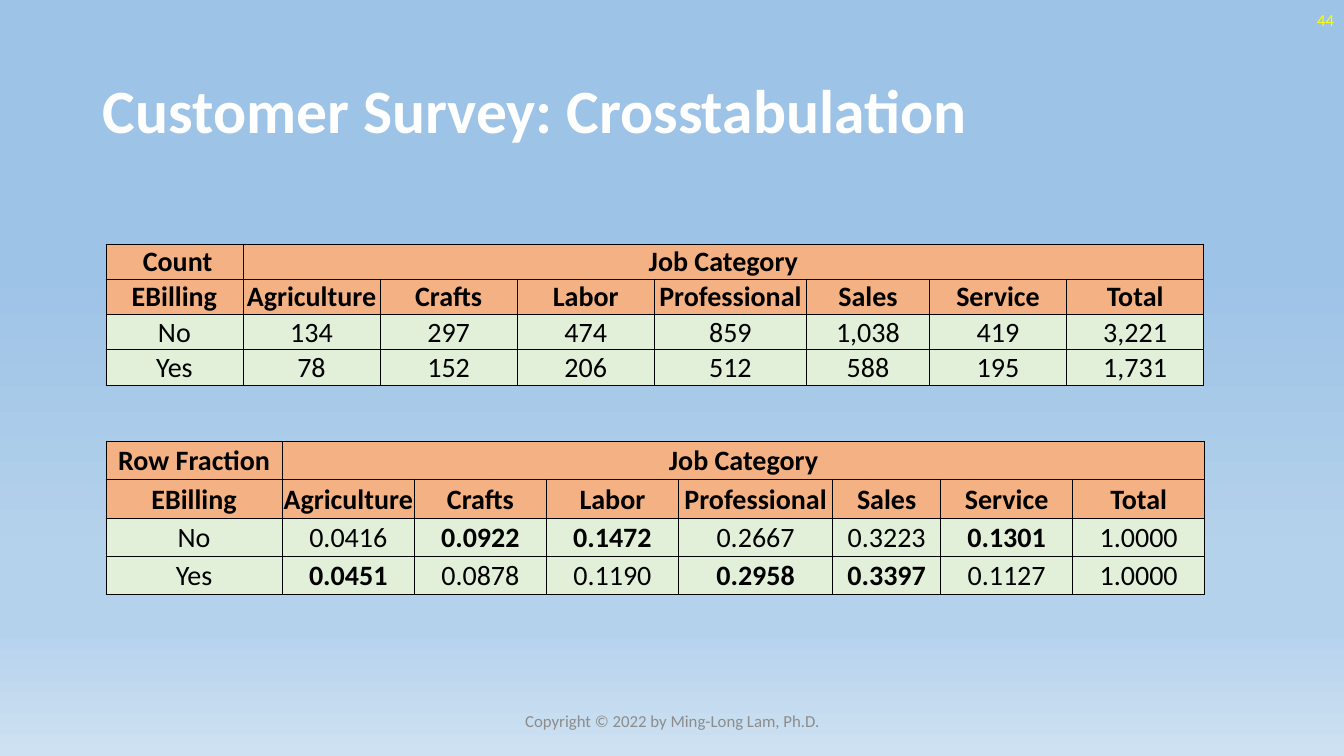
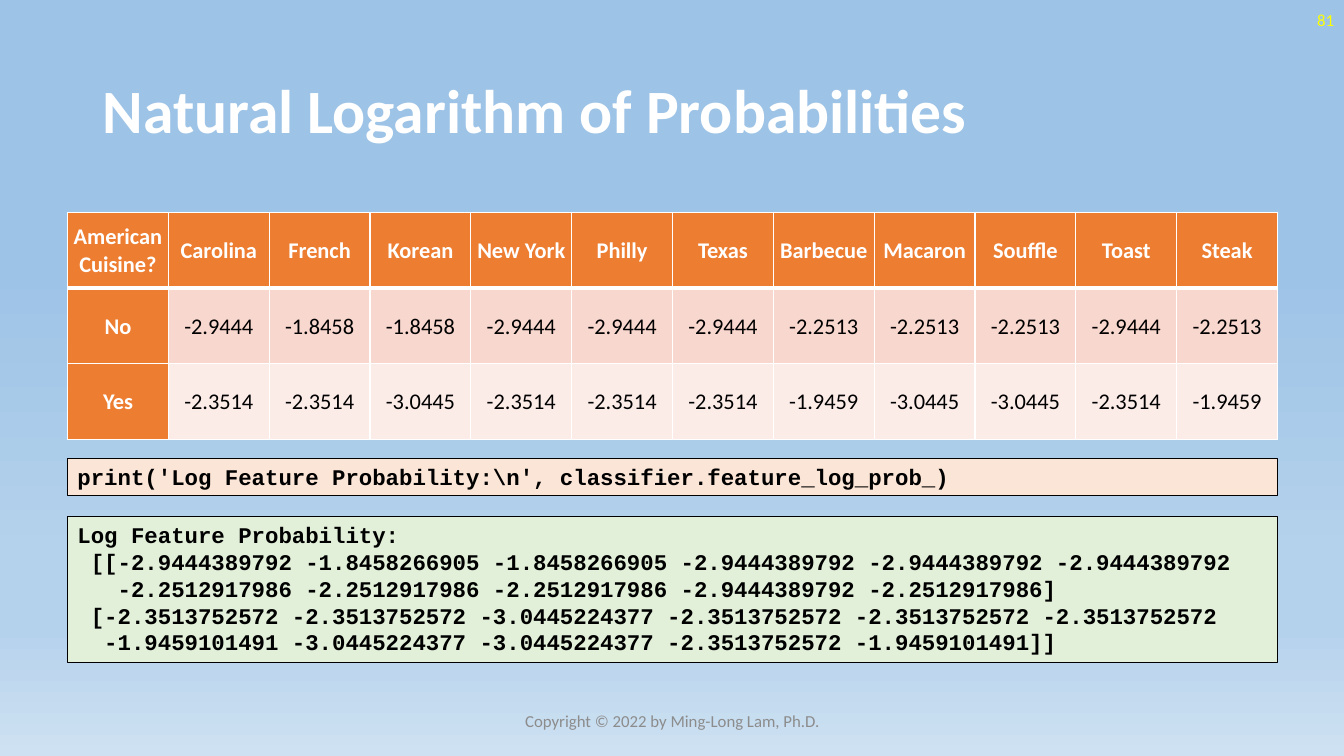
from pptx import Presentation
from pptx.dml.color import RGBColor
from pptx.enum.shapes import MSO_SHAPE
from pptx.enum.text import MSO_ANCHOR, MSO_AUTO_SIZE, PP_ALIGN
from pptx.oxml.ns import qn
from pptx.util import Inches, Pt
from lxml.etree import SubElement

BLACK = RGBColor(0x00, 0x00, 0x00)
WHITE = RGBColor(0xFF, 0xFF, 0xFF)
YELLOW = RGBColor(0xFF, 0xFF, 0x00)
GRAY = RGBColor(0x8C, 0x8C, 0x8C)
ORANGE = RGBColor(0xED, 0x7D, 0x31)
APRICOT = RGBColor(0xF4, 0xB1, 0x83)
CREAM = RGBColor(0xFB, 0xE5, 0xD6)
GREEN = RGBColor(0xE2, 0xF0, 0xD9)
BANDS = [RGBColor(0xF8, 0xD7, 0xCE), RGBColor(0xFC, 0xEC, 0xE8)]
SKY = [(35, RGBColor(0x9D, 0xC3, 0xE6)), (74, RGBColor(0xB5, 0xD2, 0xEC)),
       (83, RGBColor(0xB5, 0xD2, 0xEC)), (100, RGBColor(0xCE, 0xE1, 0xF2))]
FONT, MONO = "Calibri", "Courier New"

COPYRIGHT = "Copyright © 2022 by Ming-Long Lam, Ph.D."
JOBS = ["EBilling", "Agriculture", "Crafts", "Labor", "Professional", "Sales", "Service", "Total"]
COUNTS = [
    [" Count", "Job Category"],
    JOBS,
    ["No", "134", "297", "474", "859", "1,038", "419", "3,221"],
    ["Yes", "78", "152", "206", "512", "588", "195", "1,731"],
]
FRACTIONS = [
    ["Row Fraction", "Job Category"],
    JOBS,
    ["No", "0.0416", "0.0922", "0.1472", "0.2667", "0.3223", "0.1301", "1.0000"],
    ["Yes", "0.0451", "0.0878", "0.1190", "0.2958", "0.3397", "0.1127", "1.0000"],
]
COUNT_WIDTHS = [1.36] * 4 + [1.51, 1.22, 1.36, 1.36]
FRACTION_WIDTHS = [1.75, 1.31, 1.31, 1.31, 1.53, 1.07, 1.31, 1.31]
LOGS = [
    ["American Cuisine?", "Carolina", "French", "Korean", "New York", "Philly", "Texas",
     "Barbecue", "Macaron", "Souffle", "Toast", "Steak"],
    ["No", "-2.9444", "-1.8458", "-1.8458", "-2.9444", "-2.9444", "-2.9444",
     "-2.2513", "-2.2513", "-2.2513", "-2.9444", "-2.2513"],
    ["Yes", "-2.3514", "-2.3514", "-3.0445", "-2.3514", "-2.3514", "-2.3514",
     "-1.9459", "-3.0445", "-3.0445", "-2.3514", "-1.9459"],
]
CODE = [r"print('Log Feature Probability:\n', classifier.feature_log_prob_)"]
OUTPUT = [
    "Log Feature Probability:",
    " [[-2.9444389792 -1.8458266905 -1.8458266905 -2.9444389792 -2.9444389792 -2.9444389792",
    "   -2.2512917986 -2.2512917986 -2.2512917986 -2.9444389792 -2.2512917986]",
    " [-2.3513752572 -2.3513752572 -3.0445224377 -2.3513752572 -2.3513752572 -2.3513752572",
    "  -1.9459101491 -3.0445224377 -3.0445224377 -2.3513752572 -1.9459101491]]",
]


def style(p, size, color, bold=False, font=FONT, align=PP_ALIGN.LEFT):
    p.alignment = align
    for r in p.runs:
        r.font.name, r.font.size, r.font.bold = font, Pt(size), bold
        r.font.color.rgb = color


def set_background(master):
    fill = master.background.fill
    fill.gradient()
    fill.gradient_angle = 270
    stops = master.element.find(".//" + qn("p:bg")).find(".//" + qn("a:gsLst"))
    for gs in list(stops):
        stops.remove(gs)
    for pos, color in SKY:
        gs = SubElement(stops, qn("a:gs"), pos=str(pos * 1000))
        SubElement(gs, qn("a:srgbClr"), val=str(color))


def add_label(s, text, left, top, width, color, align):
    tf = s.shapes.add_textbox(Inches(left), Inches(top), Inches(width), Inches(0.4)).text_frame
    tf.word_wrap = True
    tf.vertical_anchor = MSO_ANCHOR.MIDDLE
    tf.text = text
    style(tf.paragraphs[0], 12, color, align=align)


def add_slide(prs, title, number):
    s = prs.slides.add_slide(prs.slide_layouts[5])
    sp = s.shapes.title
    sp.left, sp.top, sp.width, sp.height = Inches(0.92), Inches(0.4), Inches(11.5), Inches(1.45)
    tf = sp.text_frame
    tf.text = title
    tf.auto_size = MSO_AUTO_SIZE.NONE
    tf.vertical_anchor = MSO_ANCHOR.MIDDLE
    tf.paragraphs[0].line_spacing = 0.9
    style(tf.paragraphs[0], 44, WHITE, bold=True)
    add_label(s, number, 10.33, 0, 3, YELLOW, PP_ALIGN.RIGHT)
    add_label(s, COPYRIGHT, 4.42, 6.95, 4.5, GRAY, PP_ALIGN.CENTER)
    return s


def set_borders(cell, color, widths):
    tcPr = cell._tc.get_or_add_tcPr()
    for side, width in zip("LRTB", widths):
        ln = SubElement(tcPr, qn("a:ln" + side), w=str(Pt(width)))
        SubElement(SubElement(ln, qn("a:solidFill")), qn("a:srgbClr"), val=str(color))


def add_grid(s, rows, left, top, widths, height, size, look, line, edges):
    shape = s.shapes.add_table(len(rows), len(widths), Inches(left), Inches(top),
                               Inches(sum(widths)), Inches(height * len(rows)))
    table = shape.table
    table.first_row = table.horz_banding = False
    for col, width in zip(table.columns, widths):
        col.width = Inches(width)
    for i, row in enumerate(rows):
        table.rows[i].height = Inches(height)
        for j in range(len(widths)):
            cell = table.cell(i, j)
            fill, color, bold = look(i, j)
            set_borders(cell, line, edges(i))
            cell.fill.solid()
            cell.fill.fore_color.rgb = fill
            cell.vertical_anchor = MSO_ANCHOR.MIDDLE
            cell.margin_left = cell.margin_right = cell.margin_bottom = 0
            cell.margin_top = Inches(0.01)
            cell.text = row[j] if j < len(row) else ""
            style(cell.text_frame.paragraphs[0], size, color, bold, align=PP_ALIGN.CENTER)
        if len(row) < len(widths):
            table.cell(i, len(row) - 1).merge(table.cell(i, len(widths) - 1))


def add_crosstab(s, rows, top, widths, height, mark_larger=False):
    def look(i, j):
        if i < 2:
            return APRICOT, BLACK, True
        larger = mark_larger and j > 0 and float(rows[i][j]) > float(rows[5 - i][j])
        return GREEN, BLACK, larger
    add_grid(s, rows, 1.05, top, widths, height, 20, look, BLACK, lambda i: [0.5] * 4)


def log_look(i, j):
    if i == 0 or j == 0:
        return ORANGE, WHITE, True
    return BANDS[i - 1], BLACK, False


def log_edges(i):
    return 1, 1, 3 if i == 1 else 1, 3 if i == 0 else 1


def add_code(s, lines, top, height, fill):
    sp = s.shapes.add_shape(MSO_SHAPE.RECTANGLE, Inches(0.67), Inches(top), Inches(12), Inches(height))
    sp.shadow.inherit = False
    sp.fill.solid()
    sp.fill.fore_color.rgb = fill
    sp.line.color.rgb = BLACK
    sp.line.width = Pt(0.75)
    tf = sp.text_frame
    tf.word_wrap = True
    tf.vertical_anchor = MSO_ANCHOR.TOP
    tf.auto_size = MSO_AUTO_SIZE.SHAPE_TO_FIT_TEXT
    tf.text = "\n".join(lines)
    for p in tf.paragraphs:
        style(p, 16, BLACK, bold=True, font=MONO)


def main():
    prs = Presentation()
    prs.slide_width, prs.slide_height = Inches(13.33), Inches(7.5)
    set_background(prs.slide_master)

    s = add_slide(prs, "Customer Survey: Crosstabulation", "44")
    add_crosstab(s, COUNTS, 2.42, COUNT_WIDTHS, 0.35)
    add_crosstab(s, FRACTIONS, 4.38, FRACTION_WIDTHS, 0.38, mark_larger=True)

    s = add_slide(prs, "Natural Logarithm of Probabilities", "81")
    add_grid(s, LOGS, 0.67, 2.11, [1] * 12, 0.75, 16, log_look, WHITE, log_edges)
    add_code(s, CODE, 4.55, 0.37, CREAM)
    add_code(s, OUTPUT, 5.12, 1.45, GREEN)

    prs.save("out.pptx")


if __name__ == "__main__":
    main()
